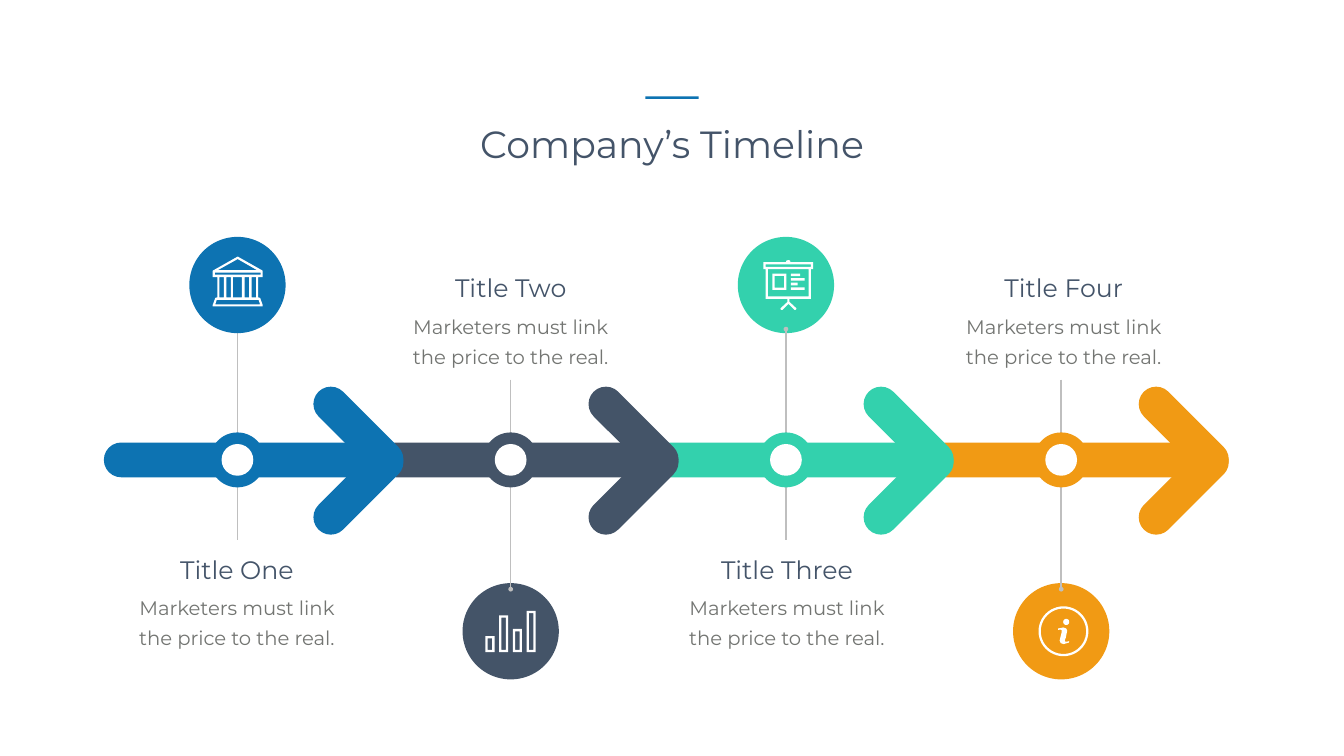
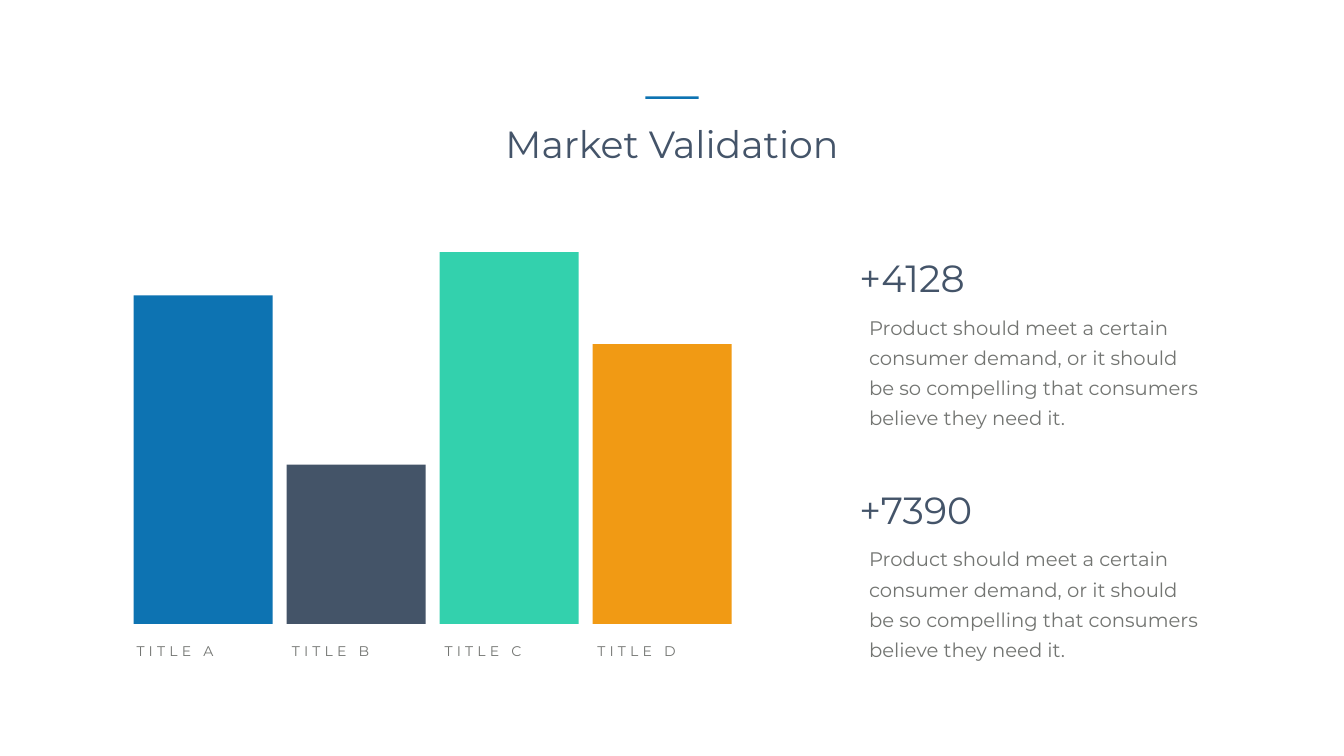
import math

import pptx
import pptx.dml.color
import pptx.enum.shapes
import pptx.enum.text
import pptx.oxml.ns
import pptx.util
from lxml import etree

Inches = pptx.util.Inches
Pt = pptx.util.Pt
SHAPE = pptx.enum.shapes.MSO_SHAPE
ALIGN = pptx.enum.text.PP_ALIGN

SLIDE_WIDTH, SLIDE_HEIGHT = 26.66, 15
FONT = "Montserrat"
COLORS = {
    "blue": "0D73B2", "slate": "445468", "green": "33D1AD", "orange": "F19A14",
    "heading": "445469", "body": "737572", "line": "BFBFBF", "white": "FFFFFF",
}

# Content: timeline (title, title width, colour, node centre, text centre, icon, icon corner)
TIMELINE_TITLE = "Company’s Timeline"
STEP_TEXT = "Marketers must link the price to the real."
STEPS = [
    ("Title One", 2.47, "blue", 4.71, 4.70, "bank", (4.22, 5.09)),
    ("Title Two", 2.45, "slate", 10.13, 10.13, "bars", (9.63, 12.12)),
    ("Title Three", 2.85, "green", 15.59, 15.61, "board", (15.14, 5.16)),
    ("Title Four", 2.58, "orange", 21.05, 21.10, "info", (20.60, 12.03)),
]

# Content: market figures (label, label left, colour, bar height)
MARKET_TITLE = "Market Validation"
BARS = [
    ("TITLE A", 2.61, "blue", 6.52),
    ("TITLE B", 5.69, "slate", 3.16),
    ("TITLE C", 8.72, "green", 7.38),
    ("TITLE D", 11.75, "orange", 5.55),
]
FIGURE_TEXT = ("Product should meet a certain consumer demand, or it should "
               "be so compelling that consumers believe they need it.")
FIGURES = ["+4128", "+7390"]

# Timeline geometry
ARROW_LEFT, ARROW_STEP, ARROW_TOP = 2.06, 5.457, 8.78
ARROW_WEIGHT, HEAD_LENGTH, HEAD_OFFSET = 0.69, 2.24, 3.93
HEAD_STROKES = [(8.22, 45), (9.37, 315)]
NODE_MIDDLE, NODE_SIZE, HOLE_SIZE, DISC_SIZE = 9.125, 1.09, 0.63, 1.91
# (disc middle, line start, line end, text top) for discs above and below the arrows
ABOVE = (5.655, 10.71, 6.53, 10.94)
BELOW = (12.525, 7.53, 11.69, 5.36)

# Market geometry
BAR_LEFT, BAR_STEP, BAR_WIDTH, BAR_BASE = 2.65, 3.035, 2.76, 12.38
FIGURE_LEFT, FIGURE_TOP, FIGURE_STEP = 16.95, 5, 4.6


# Icon outlines, in hundredths of an inch; inner outlines cut holes
def box(left, top, width, height):
    return [(left, top), (left + width, top),
            (left + width, top + height), (left, top + height)]


def ring(center_x, center_y, radius, count=48):
    angles = [2 * math.pi * index / count for index in range(count)]
    return [(center_x + radius * math.cos(angle), center_y + radius * math.sin(angle))
            for angle in angles]


def frame(left, top, width, height, weight=4.5):
    return [box(left, top, width, height),
            box(left + weight, top + weight, width - 2 * weight, height - 2 * weight)]


ICONS = {
    "bank": [
        [(0, 28), (49.5, 0), (99, 28), (99, 41), (90, 41), (90, 81), (94, 82), (99, 96),
         (99, 99), (0, 99), (0, 96), (5, 82), (9, 81), (9, 41), (0, 41)],
        box(4, 32, 91, 4),
        [(49.5, 5), (88, 27), (10, 27)],
        [(91, 86), (94, 95), (5, 95), (8, 86)],
        *[box(left, 41, width, 40)
          for left, width in [(13, 9), (27, 9), (40, 18), (63, 9), (77, 9)]],
    ],
    "bars": [outline for index, top in enumerate([50, 9, 36, 0])
             for outline in frame(27.2 * index, top, 18, 82 - top)],
    "board": [
        *frame(0, 4, 99, 14),
        box(4.5, 18, 90, 59), box(9, 18, 81, 54),
        [(45, 4), (46, 1), (50, 0), (53, 1), (54, 4)],
        [(48, 77), (52, 77), (52, 83), (65, 95), (66, 97), (64, 99), (62, 99), (50, 87),
         (38, 99), (36, 99), (34, 97), (35, 95), (48, 83)],
        *frame(18, 27, 28, 32),
        *[box(55, 27 + 9 * row, width, 5) for row, width in enumerate([18, 27, 13, 27])],
    ],
    "info": [
        ring(49.5, 49.5, 49.5), ring(49.5, 49.5, 45), ring(55, 31, 6),
        [(57, 70), (53, 70), (52, 67), (54, 63), (56, 53), (57, 48), (55, 44), (49, 42),
         (39, 44), (39, 47), (43, 46), (46, 47), (46, 51), (43, 63), (42, 68), (44, 73),
         (50, 75), (60, 72), (61, 69)],
    ],
}


# Shared drawing helpers
def color(name):
    return pptx.dml.color.RGBColor.from_string(COLORS[name])


def paint(shape, fill):
    shape.shadow.inherit = False
    shape.fill.solid()
    shape.fill.fore_color.rgb = color(fill)
    shape.line.fill.background()
    return shape


def add_block(slide, kind, left, top, width, height, fill):
    shape = slide.shapes.add_shape(
        kind, Inches(left), Inches(top), Inches(width), Inches(height))
    return paint(shape, fill)


def add_circle(slide, center_x, center_y, size, fill):
    add_block(slide, SHAPE.OVAL, center_x - size / 2, center_y - size / 2, size, size, fill)


def add_stroke(slide, left, top, length, fill, rotation=0):
    shape = add_block(slide, SHAPE.ROUNDED_RECTANGLE, left, top, length, ARROW_WEIGHT, fill)
    shape.adjustments[0] = 0.5
    shape.rotation = rotation


def add_pin(slide, x, start, end):
    connector = slide.shapes.add_connector(
        pptx.enum.shapes.MSO_CONNECTOR.STRAIGHT,
        Inches(x), Inches(start), Inches(x), Inches(end))
    connector.line.color.rgb = color("line")
    connector.line.width = Pt(2.25)
    qualify = pptx.oxml.ns.qn
    etree.SubElement(connector.line._get_or_add_ln(), qualify("a:tailEnd"), type="oval")
    etree.SubElement(connector._element.spPr, qualify("a:effectLst"))


def add_icon(slide, outlines, left, top):
    fine = [[(10 * x, 10 * y) for x, y in outline] for outline in outlines]
    builder = slide.shapes.build_freeform(*fine[0][0], scale=Inches(1) / 1000)
    builder.add_line_segments(fine[0][1:], close=True)
    for outline in fine[1:]:
        builder.move_to(*outline[0])
        builder.add_line_segments(outline[1:], close=True)
    paint(builder.convert_to_shape(Inches(left), Inches(top)), "white")


def write(shape, text, size, tint, align=ALIGN.LEFT, wrap=True, leading=None, tracking=None):
    text_frame = shape.text_frame
    text_frame.text = text
    text_frame.word_wrap = wrap
    text_frame.auto_size = pptx.enum.text.MSO_AUTO_SIZE.SHAPE_TO_FIT_TEXT
    text_frame.vertical_anchor = pptx.enum.text.MSO_ANCHOR.TOP
    paragraph = text_frame.paragraphs[0]
    paragraph.alignment = align
    if leading:
        paragraph.line_spacing = Pt(leading)
    for run in paragraph.runs:
        run.font.name = FONT
        run.font.size = Pt(size)
        run.font.color.rgb = color(tint)
        if tracking:
            run.font._element.set("spc", str(tracking * 100))


def add_text(slide, text, left, top, width, height, size, tint, inset=None, **style):
    text_box = slide.shapes.add_textbox(
        Inches(left), Inches(top), Inches(width), Inches(height))
    if inset:
        text_frame = text_box.text_frame
        text_frame.margin_left = text_frame.margin_right = Inches(inset)
        text_frame.margin_top = text_frame.margin_bottom = Inches(inset / 2)
    write(text_box, text, size, tint, **style)


def add_titled_slide(presentation, text, width):
    slide = presentation.slides.add_slide(presentation.slide_layouts[5])
    title = slide.shapes.title
    title.left, title.top = Inches((SLIDE_WIDTH - width) / 2), Inches(2.34)
    title.width, title.height = Inches(width), Inches(1.01)
    write(title, text, 54, "heading", align=ALIGN.CENTER)
    add_block(slide, SHAPE.RECTANGLE, (SLIDE_WIDTH - 1.06) / 2, 1.91, 1.06, 0.05, "blue")
    return slide


# Slide 1: arrows with discs alternating above and below
def build_timeline(presentation):
    slide = add_titled_slide(presentation, TIMELINE_TITLE, 7.91)
    rows = [(index, step, (ABOVE, BELOW)[index % 2]) for index, step in enumerate(STEPS)]

    def add_discs(chosen):
        for _, (_, _, fill, center, *_), (middle, *_) in chosen:
            add_circle(slide, center, middle, DISC_SIZE, fill)

    # The first disc covers the end of its pin
    add_discs(rows[1:])
    for _, step, (_, start, end, _) in rows:
        add_pin(slide, step[3], start, end)
    add_discs(rows[:1])

    # Each arrow overlaps the one after it
    for index, (_, _, fill, *_), _ in reversed(rows):
        left = ARROW_LEFT + index * ARROW_STEP
        add_stroke(slide, left, ARROW_TOP, ARROW_STEP, fill)
        for top, rotation in HEAD_STROKES:
            add_stroke(slide, left + HEAD_OFFSET, top, HEAD_LENGTH, fill, rotation)

    for _, (title, width, fill, center, text_center, icon, corner), (*_, text_top) in rows:
        add_circle(slide, center, NODE_MIDDLE, NODE_SIZE, fill)
        add_circle(slide, center, NODE_MIDDLE, HOLE_SIZE, "white")
        add_icon(slide, ICONS[icon], *corner)
        add_text(slide, title, text_center - width / 2, text_top, width, 0.71,
                 36, "heading", align=ALIGN.CENTER, wrap=False)
        add_text(slide, STEP_TEXT, text_center - 2.18, text_top + 0.71, 4.36, 1.25,
                 28, "body", align=ALIGN.CENTER, leading=43)


# Slide 2: bars on the left, key figures on the right
def build_market(presentation):
    slide = add_titled_slide(presentation, MARKET_TITLE, 8.23)
    for index, (label, label_left, fill, height) in enumerate(BARS):
        add_block(slide, SHAPE.RECTANGLE, BAR_LEFT + index * BAR_STEP, BAR_BASE - height,
                  BAR_WIDTH, height, fill)
        add_text(slide, label, label_left, 12.69, 1.84, 0.44, 20, "body",
                 wrap=False, tracking=6)
    for index, figure in enumerate(FIGURES):
        top = FIGURE_TOP + index * FIGURE_STEP
        add_text(slide, FIGURE_TEXT, FIGURE_LEFT + 0.05, top + 1.01, 7.04, 2.6,
                 28, "body", inset=0.24, leading=43)
        add_text(slide, figure, FIGURE_LEFT, top, 3, 1.01, 54, "heading")


def main():
    presentation = pptx.Presentation()
    presentation.slide_width = Inches(SLIDE_WIDTH)
    presentation.slide_height = Inches(SLIDE_HEIGHT)
    build_timeline(presentation)
    build_market(presentation)
    presentation.save("out.pptx")


if __name__ == "__main__":
    main()
